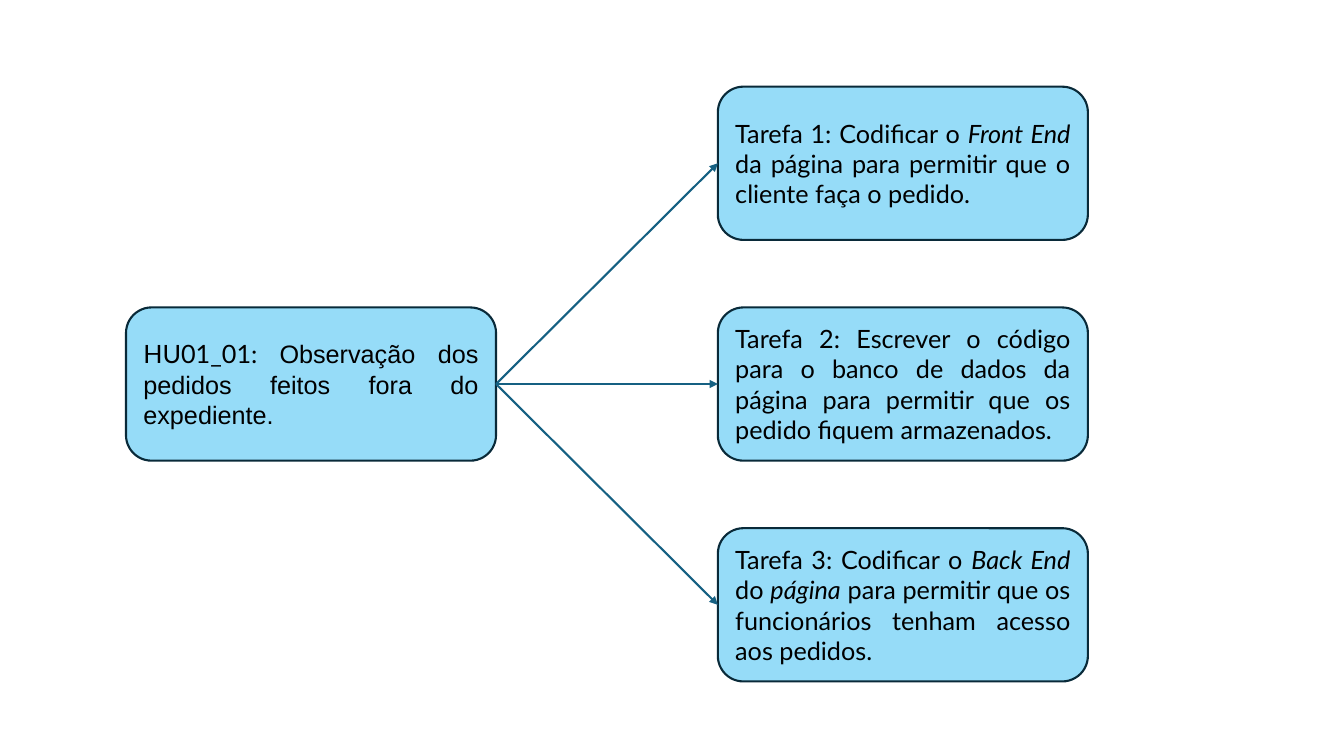
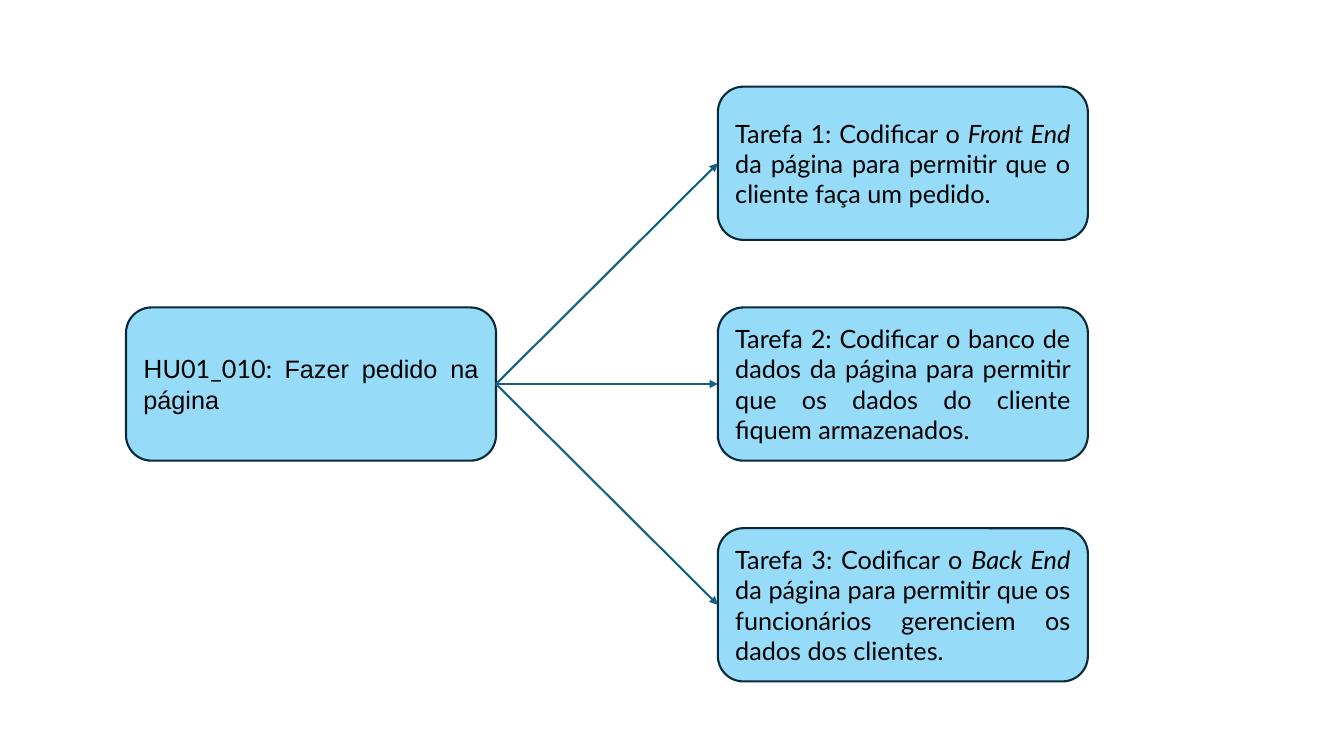
from pptx import Presentation
from pptx.dml.color import RGBColor
from pptx.enum.shapes import MSO_CONNECTOR, MSO_SHAPE
from pptx.enum.text import MSO_ANCHOR, PP_ALIGN
from pptx.oxml.ns import qn
from pptx.util import Inches, Pt
from lxml import etree

ROUNDED = MSO_SHAPE.ROUNDED_RECTANGLE
STRAIGHT = MSO_CONNECTOR.STRAIGHT
MIDDLE = MSO_ANCHOR.MIDDLE
JUSTIFY = PP_ALIGN.JUSTIFY
LEFT_SITE, RIGHT_SITE = 1, 3

# Asterisks enclose the italic words of a task.
STORIES = [
    {
        "code": "HU01_01: ",
        "title": "Observação dos pedidos feitos fora do expediente.",
        "tasks": [
            "Tarefa 1: Codificar o *Front End *da página para permitir que o "
            "cliente faça o pedido.",
            "Tarefa 2: Escrever o código para o banco de dados da página para "
            "permitir que os pedido fiquem armazenados.",
            "Tarefa 3: Codificar o *Back End *do *página* para permitir que os "
            "funcionários tenham acesso aos pedidos.",
        ],
    },
    {
        "code": "HU01_010: ",
        "title": "Fazer pedido na página",
        "tasks": [
            "Tarefa 1: Codificar o *Front End *da página para permitir que o "
            "cliente faça um pedido.",
            "Tarefa 2: Codificar o banco de dados da página para permitir que "
            "os dados do cliente fiquem armazenados.",
            "Tarefa 3: Codificar o *Back End *da página para permitir que os "
            "funcionários gerenciem os dados dos clientes.",
        ],
    },
]

COLORS = {"fill": "96DCF8", "border": "092A39", "arrow": "156082", "text": "000000"}
TASK_FONT, TITLE_FONT = "Lato", "Arial"
TEXT_SIZE, LINE_WIDTH = Pt(18), Pt(1.5)

BOX_W, BOX_H = 3.67, 1.52
STORY_X, TASK_X = 1.25, 7.12
TASK_Y, TASK_STEP = 0.86, 2.19


def rgb(name):
    return RGBColor.from_string(COLORS[name])


def add_box(s, x, y, runs):
    """Add a rounded box; runs are (text, font name, italic) tuples."""
    box = s.shapes.add_shape(ROUNDED, Inches(x), Inches(y), Inches(BOX_W), Inches(BOX_H))
    box.shadow.inherit = False
    box.fill.solid()
    box.fill.fore_color.rgb = rgb("fill")
    box.line.color.rgb = rgb("border")
    box.line.width = LINE_WIDTH
    tf = box.text_frame
    tf.word_wrap = True
    tf.vertical_anchor = MIDDLE
    p = tf.paragraphs[0]
    p.alignment = JUSTIFY
    p.font.size = TEXT_SIZE
    p.font.color.rgb = rgb("text")
    for text, font, italic in runs:
        r = p.add_run()
        r.text = text
        r.font.name = font
        r.font.italic = italic
    return box


def add_arrow(s, start, end):
    arrow = s.shapes.add_connector(STRAIGHT, 0, 0, 0, 0)
    arrow.begin_connect(start, RIGHT_SITE)
    arrow.end_connect(end, LEFT_SITE)
    arrow.line.color.rgb = rgb("arrow")
    arrow.line.width = LINE_WIDTH
    ln = arrow.line._get_or_add_ln()
    etree.SubElement(ln, qn("a:tailEnd"), type="triangle")
    etree.SubElement(arrow._element.spPr, qn("a:effectLst"))


def task_runs(task):
    return [(text, TASK_FONT, i % 2 == 1) for i, text in enumerate(task.split("*"))]


def add_story_slide(prs, story):
    s = prs.slides.add_slide(prs.slide_layouts[6])
    tasks = story["tasks"]
    story_y = TASK_Y + TASK_STEP * (len(tasks) - 1) / 2
    story_runs = [(story["code"], TASK_FONT, False), (story["title"], TITLE_FONT, False)]
    story_box = add_box(s, STORY_X, story_y, story_runs)
    for i, task in enumerate(tasks):
        task_box = add_box(s, TASK_X, TASK_Y + i * TASK_STEP, task_runs(task))
        add_arrow(s, story_box, task_box)


def main():
    prs = Presentation()
    prs.slide_width, prs.slide_height = Inches(13.33), Inches(7.5)
    for story in STORIES:
        add_story_slide(prs, story)
    prs.save("out.pptx")


if __name__ == "__main__":
    main()
